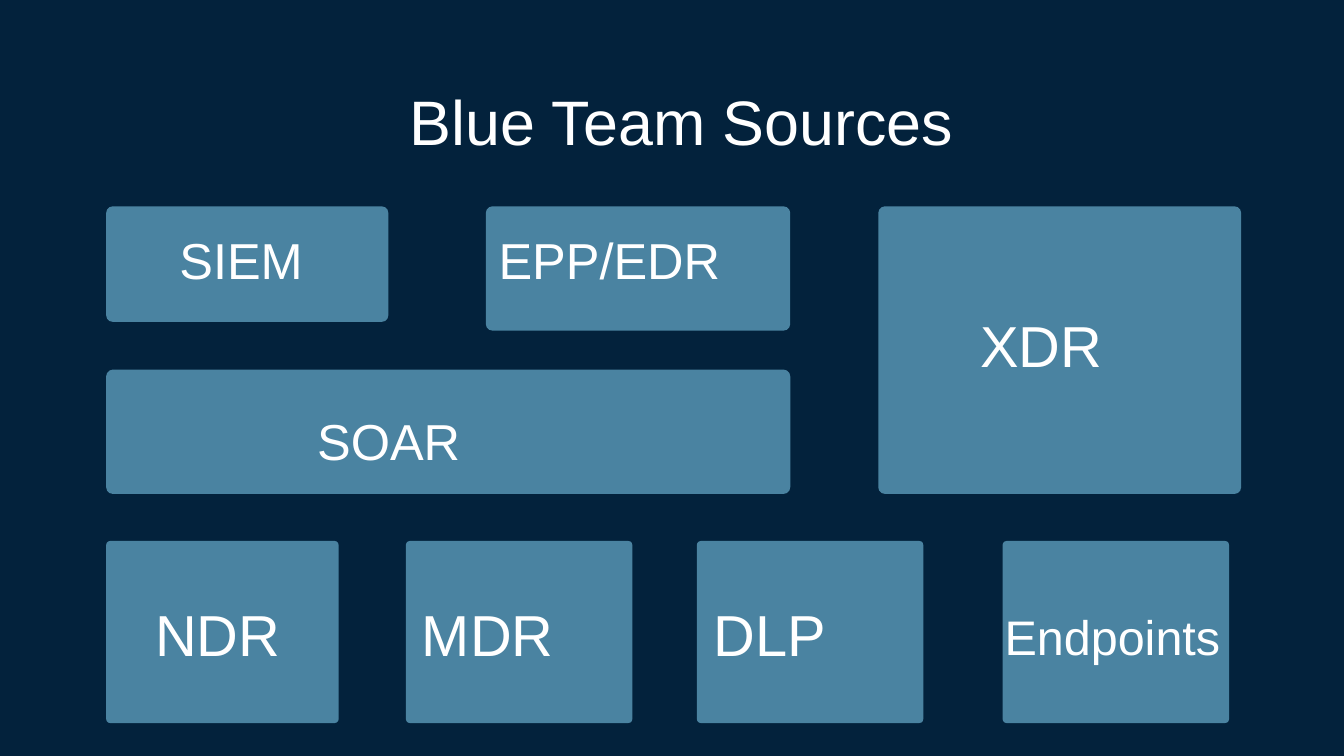
from dataclasses import dataclass

from pptx import Presentation
from pptx.dml.color import RGBColor
from pptx.enum.shapes import MSO_SHAPE
from pptx.enum.text import MSO_ANCHOR, MSO_AUTO_SIZE, PP_ALIGN
from pptx.util import Inches, Pt

ROUND = MSO_SHAPE.ROUNDED_RECTANGLE
TOP = MSO_ANCHOR.TOP
FIXED = MSO_AUTO_SIZE.NONE
LEFT, CENTER = PP_ALIGN.LEFT, PP_ALIGN.CENTER
TITLE_ONLY = 5


@dataclass(frozen=True)
class Theme:
    back: RGBColor = RGBColor(0x03, 0x22, 0x3C)
    tile: RGBColor = RGBColor(0x4A, 0x83, 0xA1)
    text: RGBColor = RGBColor(0xFF, 0xFF, 0xFF)
    font: str = "Arial"
    # Each type style is (size, line pitch) in points
    title: tuple = (67.3, 80.8)
    large: tuple = (61.9, 80.5)
    mid: tuple = (54.1, 70.3)
    small: tuple = (52, 67.7)


class Board:
    def __init__(self, deck, theme):
        self.theme = theme
        self.slide = deck.slides.add_slide(deck.slide_layouts[TITLE_ONLY])
        fill = self.slide.background.fill
        fill.solid()
        fill.fore_color.rgb = theme.back

    def set_text(self, shape, text, style, align):
        size, pitch = style
        frame = shape.text_frame
        frame.text = text
        para = frame.paragraphs[0]
        font = para.runs[0].font
        formats = [
            (frame, dict(margin_left=0, margin_top=0, margin_right=0, margin_bottom=0,
                         word_wrap=True, auto_size=FIXED, vertical_anchor=TOP)),
            (para, dict(alignment=align, line_spacing=Pt(pitch))),
            (font, dict(name=self.theme.font, size=Pt(size))),
            (font.color, dict(rgb=self.theme.text)),
        ]
        for target, values in formats:
            for name, value in values.items():
                setattr(target, name, value)

    def title(self, text, *box):
        shape = self.slide.shapes.title
        for name, value in zip(("left", "top", "width", "height"), box):
            setattr(shape, name, Inches(value))
        self.set_text(shape, text, self.theme.title, CENTER)

    def tile(self, left, top, width, height, radius):
        shape = self.slide.shapes.add_shape(
            ROUND, *map(Inches, (left, top, width, height)))
        shape.adjustments[0] = radius / min(width, height)
        shape.shadow.inherit = False
        shape.fill.solid()
        shape.fill.fore_color.rgb = self.theme.tile
        shape.line.fill.background()

    def label(self, text, style, *box):
        shape = self.slide.shapes.add_textbox(*map(Inches, box))
        self.set_text(shape, text, style, LEFT)


def main():
    deck = Presentation()
    deck.slide_width, deck.slide_height = Inches(20), Inches(11.25)
    theme = Theme()
    board = Board(deck, theme)
    board.title("Blue Team Sources", 1.42, 1.23, 17.45, 1.13)

    # Upper tiles: text, style, tile box, label box
    upper = [
        ("SIEM", theme.mid, (1.58, 3.07, 4.2, 1.72), (2.67, 3.34, 2.63, 0.97)),
        ("EPP/EDR", theme.mid, (7.23, 3.07, 4.53, 1.85), (7.42, 3.34, 4.64, 0.97)),
        ("SOAR", theme.mid, (1.58, 5.5, 10.18, 1.85), (4.72, 6.03, 2.63, 0.97)),
        ("XDR", theme.large, (13.07, 3.07, 5.4, 4.28), (14.59, 4.53, 3.34, 1.1)),
    ]
    for text, style, tile, label in upper:
        board.tile(*tile, 0.1)
        board.label(text, style, *label)

    # Bottom row: text, style, tile left and width, label box
    bottom = [
        ("NDR", theme.large, 1.58, 3.46, (2.31, 8.82, 3.34, 1.1)),
        ("MDR", theme.large, 6.04, 3.37, (6.28, 8.82, 3.34, 1.1)),
        ("DLP", theme.large, 10.37, 3.37, (10.62, 8.82, 3.34, 1.1)),
        ("Endpoints", theme.small, 14.92, 3.37, (14.95, 8.96, 3.77, 0.91)),
    ]
    for text, style, left, width, label in bottom:
        board.tile(left, 8.05, width, 2.71, 0.06)
        board.label(text, style, *label)

    deck.save("out.pptx")


if __name__ == "__main__":
    main()
